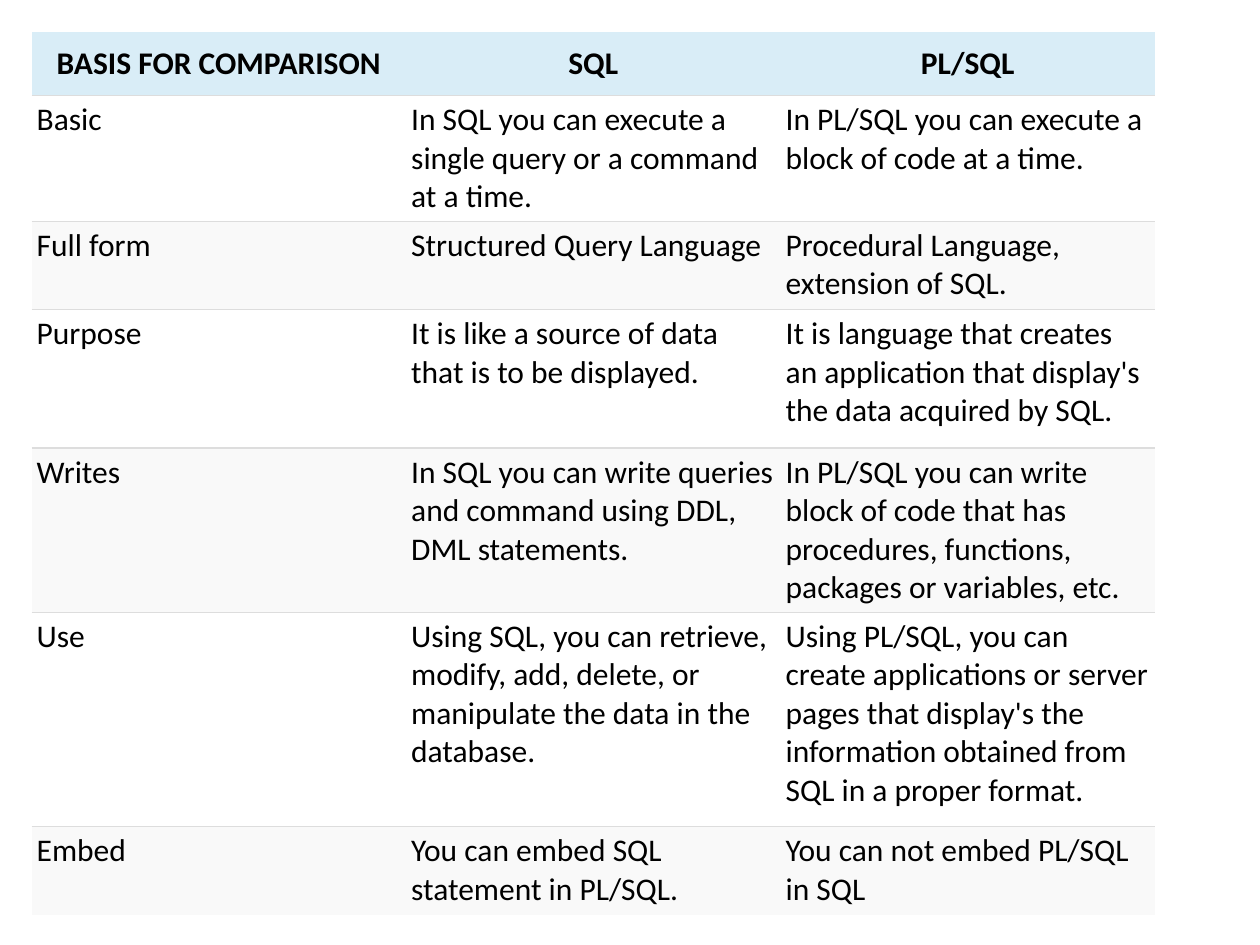
import pptx
import pptx.util
import pptx.dml.color
import pptx.enum.text
import pptx.oxml
import pptx.oxml.ns

Pt = pptx.util.Pt
COLORS = {
    "header": "D9EDF7",
    "plain": "FFFFFF",
    "stripe": "F9F9F9",
    "rule": "DDDDDD",
    "text": "000000",
}
NO_STYLE = "{2D5ABB26-0587-4C30-8999-92F81FD0307C}"

comparison = [
    ["BASIS FOR COMPARISON", "SQL", "PL/SQL"],
    ["Basic",
     "In SQL you can execute a single query or a command at a time.",
     "In PL/SQL you can execute a block of code at a time."],
    ["Full form",
     "Structured Query Language",
     "Procedural Language, extension of SQL."],
    ["Purpose",
     "It is like a source of data that is to be displayed.",
     "It is language that creates an application that display's the data acquired by SQL."],
    ["Writes",
     "In SQL you can write queries and command using DDL, DML statements.",
     "In PL/SQL you can write block of code that has procedures, functions, "
     "packages or variables, etc."],
    ["Use",
     "Using SQL, you can retrieve, modify, add, delete, or manipulate the data in the database.",
     "Using PL/SQL, you can create applications or server pages that display's the "
     "information obtained from SQL in a proper format."],
    ["Embed",
     "You can embed SQL statement in PL/SQL.",
     "You can not embed PL/SQL in SQL"],
]
row_heights = [36.5, 64.8, 50.4, 79.2, 93.6, 122.4, 50.4]
column_width = 214


def write_cell(cell, text, fill, bold=False, align="LEFT", anchor="TOP"):
    cell.margin_left = cell.margin_right = Pt(3)
    cell.margin_top = cell.margin_bottom = Pt(3)
    cell.vertical_anchor = getattr(pptx.enum.text.MSO_ANCHOR, anchor)
    cell.fill.solid()
    cell.fill.fore_color.rgb = pptx.dml.color.RGBColor.from_string(COLORS[fill])
    para = cell.text_frame.paragraphs[0]
    para.alignment = getattr(pptx.enum.text.PP_ALIGN, align)
    span = para.add_run()
    span.text = text
    span.font.name = "Calibri"
    span.font.size = Pt(18)
    span.font.bold = bold
    span.font.color.rgb = pptx.dml.color.RGBColor.from_string(COLORS["text"])


def rule_cell(cell, sides):
    properties = cell._tc.get_or_add_tcPr()
    for position, side in enumerate(sides):
        # Border lines must come before the fill
        properties.insert(position, pptx.oxml.parse_xml(
            f'<a:ln{side} {pptx.oxml.ns.nsdecls("a")} w="{Pt(0.75)}"><a:solidFill>'
            f'<a:srgbClr val="{COLORS["rule"]}"/></a:solidFill></a:ln{side}>'))


# Deck and blank page
deck = pptx.Presentation()
deck.slide_width, deck.slide_height = Pt(720), Pt(540)
page = deck.slides.add_slide(deck.slide_layouts[6])

# Table frame without a built-in style
frame = page.shapes.add_table(len(comparison), 3, Pt(18), Pt(18),
                              Pt(3 * column_width), Pt(sum(row_heights)))
table = frame.table
table.first_row = table.horz_banding = False
table._tbl.tblPr.find(pptx.oxml.ns.qn("a:tableStyleId")).text = NO_STYLE
for column in table.columns:
    column.width = Pt(column_width)

# Header, then striped rows with rules between them
last = len(comparison) - 1
for index, (texts, height) in enumerate(zip(comparison, row_heights)):
    table.rows[index].height = Pt(height)
    sides = ("T" if index > 0 else "") + ("B" if index < last else "")
    for cell, text in zip(table.rows[index].cells, texts):
        if index == 0:
            write_cell(cell, text, "header", bold=True, align="CENTER", anchor="MIDDLE")
        else:
            write_cell(cell, text, "plain" if index % 2 else "stripe")
        rule_cell(cell, sides)

deck.save("out.pptx")
